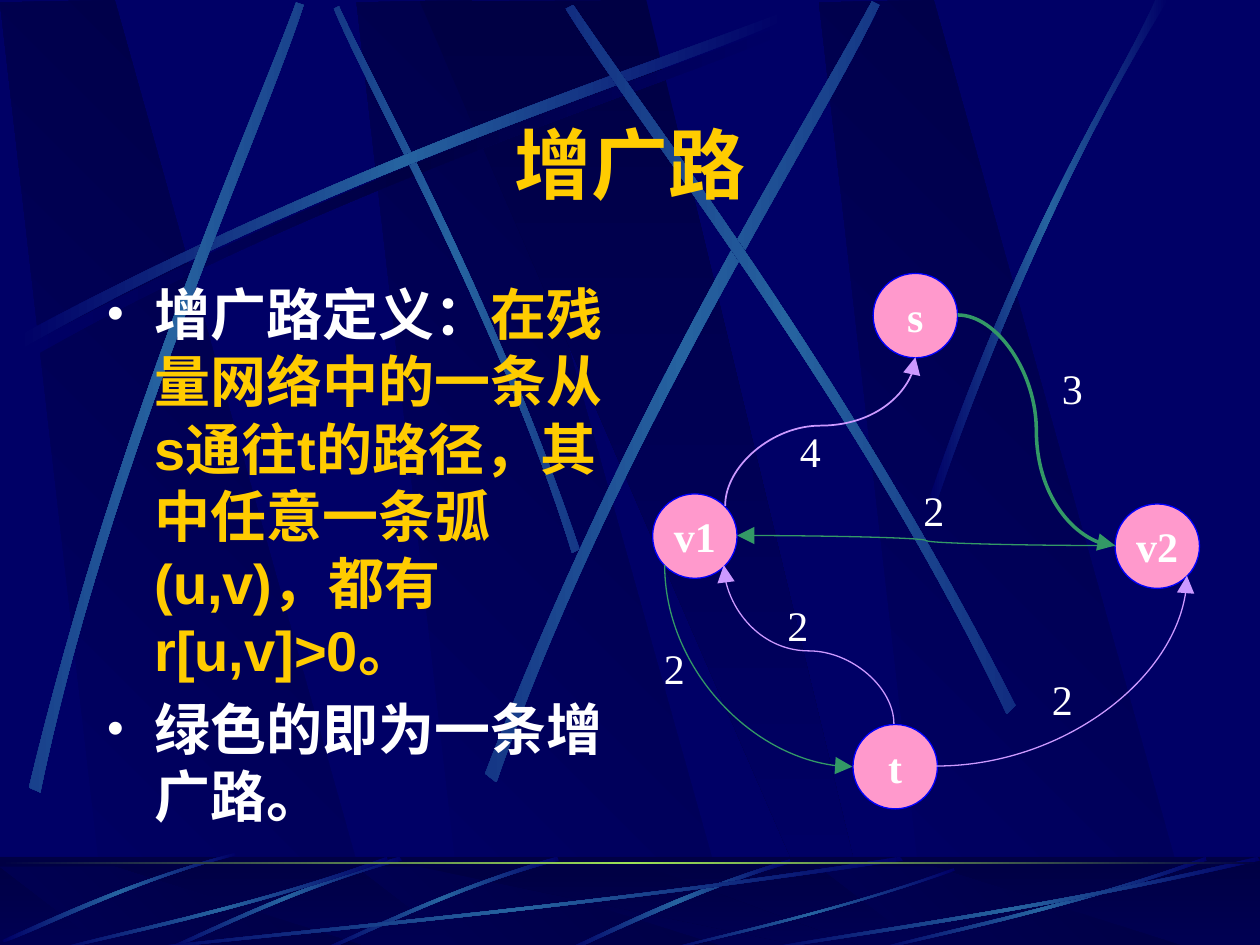
from copy import deepcopy
from math import cos, radians, sin

from pptx import Presentation
from pptx import util as u
from pptx.dml.color import RGBColor
from pptx.enum import shapes, text
from pptx.oxml import ns
from lxml import etree

NAVY, DARK, STEEL, LIME = "000066", "000044", "2663A0", "9CE157"
GOLD, WHITE, PINK, BLUE = "FFCC00", "FFFFFF", "FF99CC", "0000FF"
LILAC, GREEN = "CC99FF", "339966"
SERIF = "Times New Roman"
GLOW = (NAVY, STEEL, NAVY)
SHADE = (NAVY, DARK, NAVY)

COLUMN = [(0.86, 7.5), (3.02, 7.52), (0.91, 0), (0, 0.02)]
WEDGE = [(3.33, 0.01), (6.58, 7.51), (6.94, 7.51), (5.13, 0)]
LOW_COLUMN = [(0.86, 7.54), (3.02, 7.55), (0.91, 6.88), (0, 6.88)]
LOW_WEDGE = [(3.33, 6.88), (6.58, 7.55), (6.94, 7.55), (5.13, 6.88)]
COLUMN_LEFTS = (2.83, 0, 6.5)

ARC = [(0.14, 2.67), (2.78, 1.25), (5.18, 0.51), (6.2, 0.1),
       (6.23, 0.16), (5.22, 0.61), (2.48, 1.43), (0.17, 2.77)]
TALL_STREAKS = [
    (45, [(4.6, 4.36), (3.91, 2.34), (3.02, 0.77), (2.69, 0.05),
          (2.65, 0.07), (2.95, 0.79), (3.98, 2.58), (4.54, 4.39)]),
    (0, ARC),
    (311.7, [(0.23, 6.25), (0.93, 3.34), (1.97, 1.05), (2.35, 0.02),
             (2.41, 0.04), (2.07, 1.09), (0.86, 3.68), (0.32, 6.29)]),
    (321.6, [(3.85, 6.14), (4.98, 3.2), (6.38, 1.02), (6.92, 0.01),
             (6.98, 0.04), (6.49, 1.08), (4.86, 3.55), (3.94, 6.21)]),
    (34.7, [(8.06, 5.6), (6.7, 2.93), (5.16, 0.95), (4.55, 0.04),
            (4.49, 0.07), (5.07, 1.01), (6.85, 3.25), (7.99, 5.67)]),
    (0, [(7.38, 3.94), (8.14, 1.73), (8.88, 0.66), (9.17, 0),
         (9.27, 0), (8.36, 1.45), (7.69, 3.22), (7.44, 3.97)]),
]
LOW_STREAKS = [
    (0, (0,), [(6.27, 6.82), (5.37, 7.09), (4.77, 7.42), (4.48, 7.54),
               (4.53, 7.55), (4.9, 7.38), (5.71, 7), (6.28, 6.85)]),
    (315, (1.25, 0), [(3.17, 6.8), (2.3, 7.05), (1.62, 7.4), (1.31, 7.53),
                      (1.32, 7.55), (1.63, 7.43), (2.4, 7.03), (3.19, 6.83)]),
    (315, (0,), [(1.86, 6.77), (0.99, 7), (0.32, 7.33), (0.02, 7.46),
                 (0.03, 7.48), (0.34, 7.37), (1.09, 6.98), (1.87, 6.79)]),
    (0, (0,), [(7.17, 6.83), (4.49, 7.23), (2.06, 7.44), (1.03, 7.55),
               (1, 7.54), (2.02, 7.41), (4.8, 7.18), (7.14, 6.8)]),
    (0, (0,), [(3.08, 6.83), (1.93, 7.23), (0.88, 7.44), (0.43, 7.55),
               (0.42, 7.54), (0.86, 7.41), (2.06, 7.18), (3.07, 6.8)]),
    (0, (0,), [(7.58, 6.91), (6.58, 7.26), (5.67, 7.45), (5.28, 7.55),
               (5.27, 7.54), (5.65, 7.43), (6.69, 7.22), (7.57, 6.89)]),
    (0, (0,), [(9.58, 6.83), (8.43, 7.23), (7.38, 7.44), (6.93, 7.55),
               (6.92, 7.54), (7.36, 7.41), (8.56, 7.18), (9.57, 6.8)]),
    (0, (0,), [(10, 6.83), (8.27, 7.23), (6.69, 7.44), (6.02, 7.55),
               (6, 7.54), (6.66, 7.41), (8.46, 7.18), (9.98, 6.8)]),
]

NODES = [("v1", 5.18, 3.92), ("t", 6.77, 5.75), ("s", 6.93, 2.17), ("v2", 8.85, 4)]
CAPACITIES = [("2", 5.17, 5.05), ("3", 8.33, 2.83), ("2", 8.25, 5.3),
              ("4", 6.25, 3.33), ("2", 7.23, 3.8), ("2", 6.15, 4.71)]
ARCS = [
    ((5.92, 2.67, 1.18, 1.51), 270, "", LILAC, 1, 0.54),
    ((5.85, 4.25, 3, 0.08), 180, "", GREEN, 0.75, 0.5),
    ((5.22, 4.54, 1.6, 1.49), 270, "flipH", GREEN, 0.75, None),
    ((5.79, 4.44, 1.26, 1.35), 90, "flipH", LILAC, 0.75, 0.46),
    ((7.43, 4.57, 1.99, 1.51), 0, "flipV", LILAC, 0.75, None),
    ((7.6, 2.5, 1.25, 1.83), 0, "", GREEN, 2, 0.5),
]


def color(value):
    return RGBColor.from_string(value)


def shift(points, dx):
    return [(x + dx, y) for x, y in points]


def turn(x, y, degrees):
    a = radians(degrees)
    return x * cos(a) - y * sin(a), x * sin(a) + y * cos(a)


class Sheet:
    def __init__(self, deck):
        self.master = deck.slide_master
        self.master.background.fill.solid()
        self.master.background.fill.fore_color.rgb = color(NAVY)
        self.page = deck.slides.add_slide(deck.slide_layouts[1])

    def gradient(self, shape, colors, angle):
        shape.shadow.inherit = False
        shape.line.fill.background()
        shape.fill.gradient()
        shape.fill.gradient_angle = (360 - angle) % 360
        props = shape.element.spPr
        props.find(ns.qn("a:gradFill")).set("rotWithShape", "0")
        stops = props.find(".//" + ns.qn("a:gsLst"))
        if len(colors) == 3:
            stops.append(deepcopy(stops[-1]))
        for i, (stop, value) in enumerate(zip(shape.fill.gradient_stops, colors)):
            stop.color.rgb = color(value)
            stop.position = i / (len(colors) - 1)

    def polygon(self, emu):
        builder = self.page.shapes.build_freeform(*emu[0], scale=1.0)
        builder.add_line_segments(emu[1:], close=True)
        return builder.convert_to_shape()

    def panel(self, points, colors, angle):
        emu = [(u.Inches(x), u.Inches(y)) for x, y in points]
        self.gradient(self.polygon(emu), colors, angle)

    def streak(self, points, rotation=0, colors=GLOW):
        flat = [turn(x, y, -rotation) for x, y in points]
        emu = [(u.Inches(x), u.Inches(y)) for x, y in flat]
        shape = self.polygon([emu[i] for i in (0, 3, 4, 7)])
        lines = shape.element.spPr.findall(".//" + ns.qn("a:lnTo"))
        for line, first in ((lines[0], 1), (lines[2], 5)):
            curve = etree.Element(ns.qn("a:cubicBezTo"))
            for x, y in emu[first:first + 3]:
                etree.SubElement(curve, ns.qn("a:pt"),
                                 x=str(x - shape.left), y=str(y - shape.top))
            line.getparent().replace(line, curve)
        half_w, half_h = shape.width / 2, shape.height / 2
        x, y = turn(shape.left + half_w, shape.top + half_h, rotation)
        shape.left, shape.top = int(x - half_w), int(y - half_h)
        shape.rotation = rotation
        self.gradient(shape, colors, 0)

    def shape(self, kind, *area):
        return self.page.shapes.add_shape(kind, *map(u.Inches, area))

    def strip(self, top, height, colors, angle):
        bar = self.shape(shapes.MSO_SHAPE.RECTANGLE, 0, top, 10, height)
        self.gradient(bar, colors, angle)

    def veil(self, top, height, value, opacity):
        bar = self.shape(shapes.MSO_SHAPE.RECTANGLE, 0, top, 10, height)
        bar.shadow.inherit = False
        bar.line.fill.background()
        bar.fill.solid()
        bar.fill.fore_color.rgb = color(value)
        tint = bar.element.spPr.find(".//" + ns.qn("a:srgbClr"))
        etree.SubElement(tint, ns.qn("a:alpha"), val=str(opacity * 1000))

    def style(self, span, size, face, value, bold=True):
        span.font.size, span.font.name, span.font.bold = u.Pt(size), face, bold
        span.font.color.rgb = color(value)

    def placeholder(self, index, *area):
        box = self.page.placeholders[index]
        box.left, box.top, box.width, box.height = map(u.Inches, area)
        box.text_frame.auto_size = text.MSO_AUTO_SIZE.NONE
        return box.text_frame

    def title(self, words):
        frame = self.placeholder(0, 0.75, 0.88, 8.5, 0.83)
        frame.text = words
        self.style(frame.paragraphs[0].runs[0], 44, "Montserrat", GOLD)

    def bullets(self, items):
        frame = self.placeholder(1, 0.75, 2.17, 4.17, 4.5)
        for i, item in enumerate(items):
            para = frame.add_paragraph() if i else frame.paragraphs[0]
            etree.SubElement(para._p.get_or_add_pPr(), ns.qn("a:buSzPct"), val="85000")
            for words, value in item:
                span = para.add_run()
                span.text = words
                self.style(span, 32, "Arial", value)

    def node(self, name, left, top):
        disc = self.shape(shapes.MSO_SHAPE.OVAL, left, top, 0.67, 0.67)
        disc.shadow.inherit = False
        disc.fill.solid()
        disc.fill.fore_color.rgb = color(PINK)
        disc.line.color.rgb, disc.line.width = color(BLUE), u.Pt(0.75)
        frame = disc.text_frame
        frame.text, frame.word_wrap = name, False
        frame.vertical_anchor = text.MSO_ANCHOR.MIDDLE
        frame.paragraphs[0].alignment = text.PP_ALIGN.CENTER
        self.style(frame.paragraphs[0].runs[0], 24, SERIF, WHITE)

    def label(self, words, left, top):
        box = self.page.shapes.add_textbox(*map(u.Inches, (left, top, 0.36, 0.5)))
        frame = box.text_frame
        frame.text, frame.word_wrap = words, False
        frame.auto_size = text.MSO_AUTO_SIZE.SHAPE_TO_FIT_TEXT
        self.style(frame.paragraphs[0].runs[0], 24, SERIF, WHITE, False)

    def arc(self, area, rotation, flip, value, width, bend):
        x, y, w, h = area
        link = self.page.shapes.add_connector(
            shapes.MSO_CONNECTOR.CURVE, *map(u.Inches, (x, y, x + w, y + h)))
        link.line.color.rgb, link.line.width = color(value), u.Pt(width)
        props = link.element.spPr
        frame = props.find(ns.qn("a:xfrm"))
        frame.set("rot", str(rotation * 60000))
        if flip:
            frame.set(flip, "1")
        geometry = props.find(ns.qn("a:prstGeom"))
        if bend is None:
            geometry.set("prst", "curvedConnector2")
        else:
            etree.SubElement(geometry.find(ns.qn("a:avLst")), ns.qn("a:gd"),
                             name="adj1", fmla=f"val {round(bend * 100000)}")
        etree.SubElement(props.find(ns.qn("a:ln")), ns.qn("a:tailEnd"),
                         type="triangle", w="lg", len="lg")
        etree.SubElement(props, ns.qn("a:effectLst"))

    def columns(self, column, wedge):
        for left in COLUMN_LEFTS:
            self.panel(shift(column, left), (NAVY, DARK), 315)
        self.panel(wedge, (DARK, NAVY), 90)

    def backdrop(self):
        self.columns(COLUMN, WEDGE)
        self.streak([(x + 0.06, y + 0.08) for x, y in ARC], colors=SHADE)
        for rotation, points in TALL_STREAKS:
            self.streak(points, rotation)
        self.strip(6.8, 0.75, (DARK, NAVY), 90)
        self.columns(LOW_COLUMN, LOW_WEDGE)
        self.veil(6.8, 0.75, DARK, 50)
        for rotation, offsets, points in LOW_STREAKS:
            for dx in offsets:
                self.streak(shift(points, dx), rotation)
        self.strip(6.84, 0.02, (DARK, LIME, DARK), 0)
        self.send_to_master()

    def send_to_master(self):
        parts = [part for part in self.page.shapes if not part.is_placeholder]
        group = self.page.shapes.add_group_shape(shapes=parts)
        for number, tag in enumerate(group.element.iter(ns.qn("p:cNvPr")), 100):
            tag.set("id", str(number))
        self.master.placeholders[0].element.addprevious(group.element)


def main():
    deck = Presentation()
    deck.slide_width, deck.slide_height = u.Inches(10), u.Inches(7.5)
    sheet = Sheet(deck)
    sheet.backdrop()
    sheet.title("增广路")
    sheet.bullets([
        [("增广路定义：", WHITE),
         ("在残量网络中的一条从s通往t的路径，其中任意一条弧(u,v)，都有r[u,v]>0。", GOLD)],
        [("绿色的即为一条增广路。", WHITE)],
    ])
    for node in NODES:
        sheet.node(*node)
    for capacity in CAPACITIES:
        sheet.label(*capacity)
    for arc in ARCS:
        sheet.arc(*arc)
    deck.save("out.pptx")


if __name__ == "__main__":
    main()
